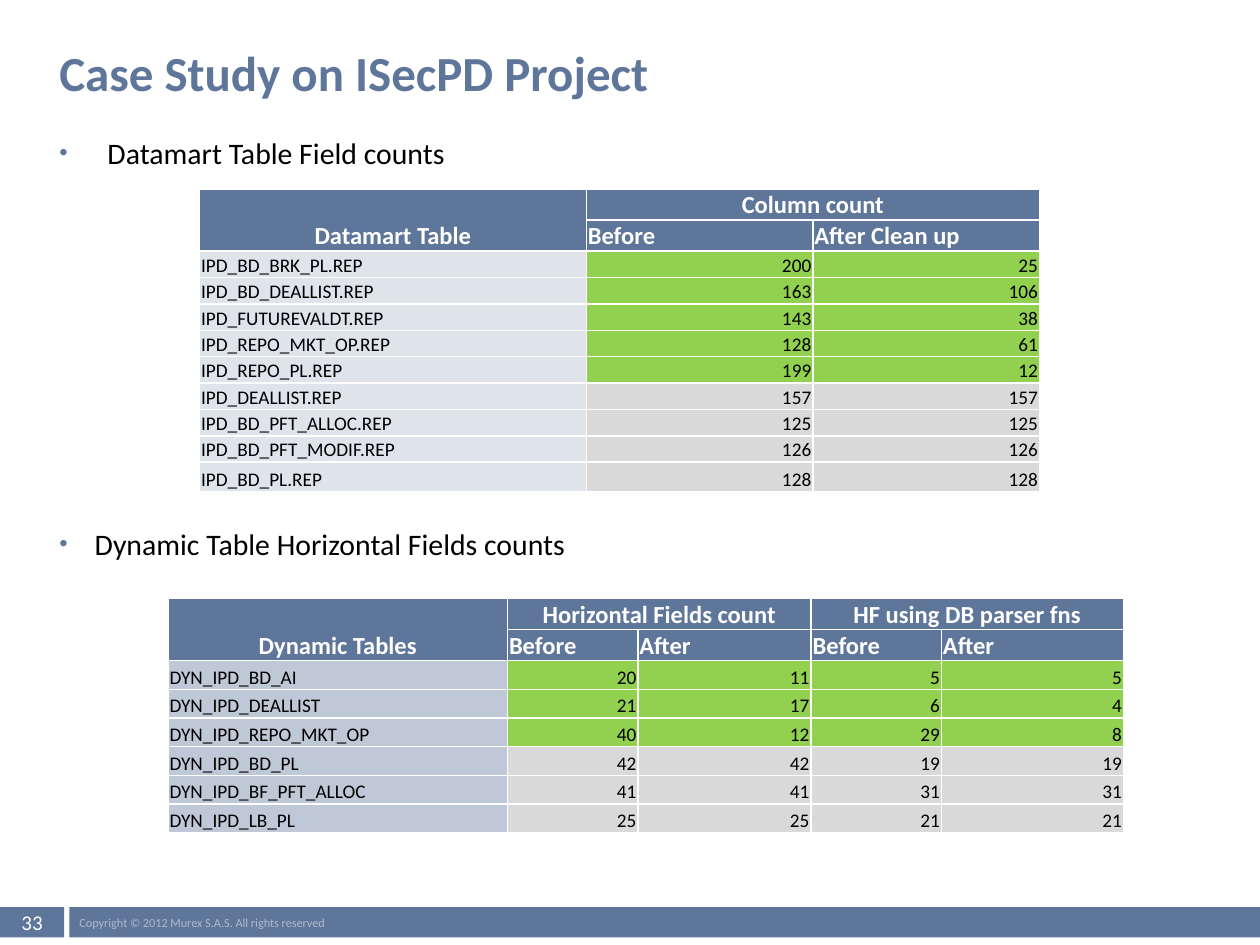
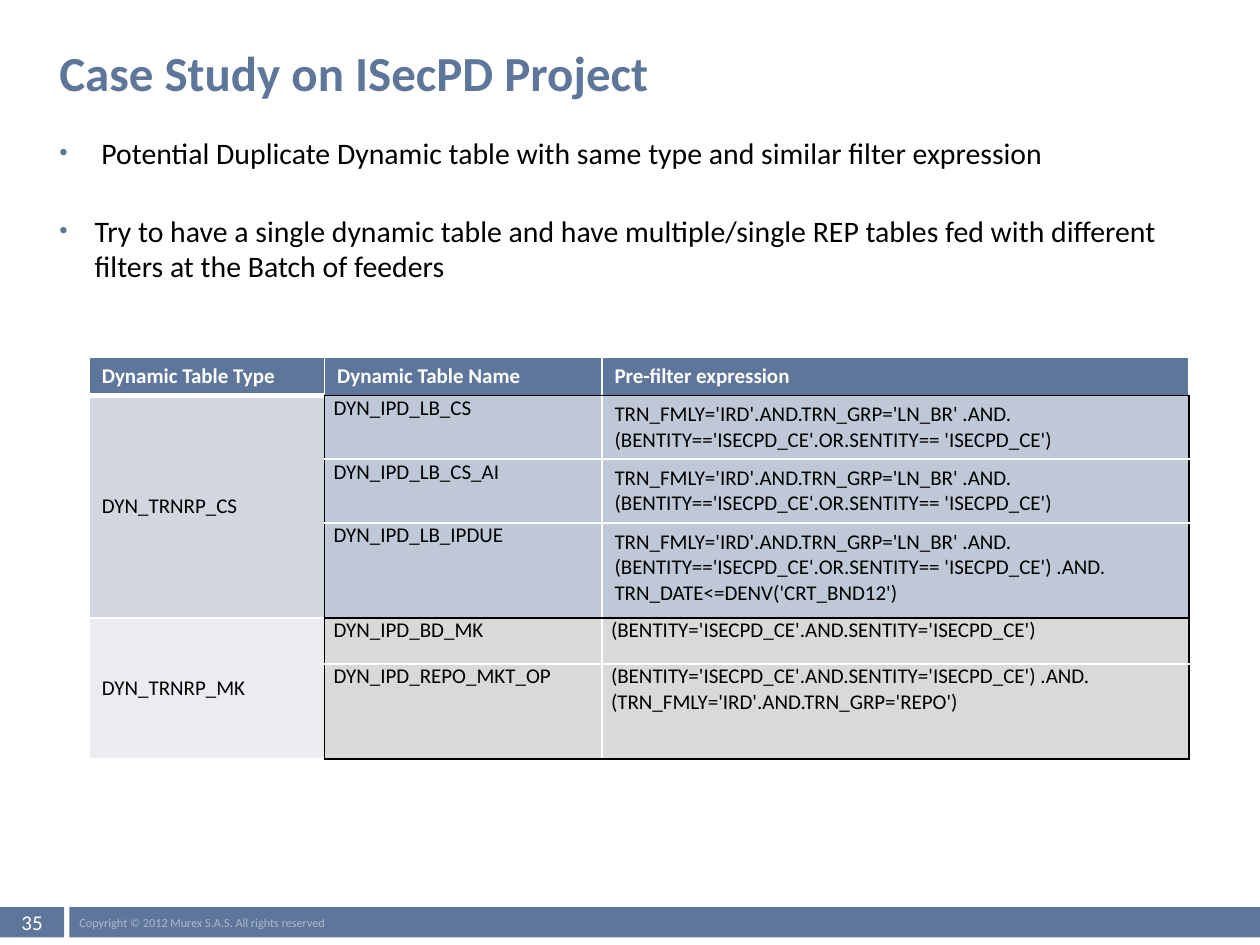
from lxml import etree
from pptx import Presentation
from pptx.dml.color import RGBColor
from pptx.enum.shapes import MSO_SHAPE as Shape
from pptx.enum.text import MSO_ANCHOR as Anchor, MSO_AUTO_SIZE as AutoSize, PP_ALIGN as Align
from pptx.oxml.ns import qn
from pptx.util import Pt

FONT = "Calibri"
SLATE = RGBColor(0x5F, 0x76, 0x9B)
SLATE_MID = RGBColor(0xBF, 0xC8, 0xD7)
SLATE_LIGHT = RGBColor(0xDF, 0xE4, 0xEB)
FOOTER_TEXT = RGBColor(0xAF, 0xBA, 0xCD)
TYPE_DARK = RGBColor(0xD2, 0xD6, 0xDE)
TYPE_LIGHT = RGBColor(0xEA, 0xEC, 0xEF)
GREEN = RGBColor(0x92, 0xD0, 0x50)
GRAY = RGBColor(0xD9, 0xD9, 0xD9)
WHITE = RGBColor(0xFF, 0xFF, 0xFF)
BLACK = RGBColor(0, 0, 0)

TITLE = "Case Study on ISecPD Project"
COPYRIGHT = "Copyright © 2012 Murex S.A.S. All rights reserved"
TIGHT = (0.9, 0.7, 0.9, 0)
NORMAL = (7.2, 3.6, 7.2, 3.6)
FLUSH = (5.2, 0, 5.2, 0)


class Deck:
    """Holds the shared style and the slide being built."""

    def __init__(self):
        self.presentation = Presentation()
        self.presentation.slide_width = Pt(720)
        self.presentation.slide_height = Pt(540)
        self.slide = None

    def add_slide(self, number):
        layout = self.presentation.slide_layouts[1]
        self.slide = self.presentation.slides.add_slide(layout)
        self.band(39.6, 680.4, COPYRIGHT, 7, FOOTER_TEXT, Align.LEFT)
        self.band(0, 36.7, str(number), 12, WHITE, Align.CENTER)
        frame = self.placeholder(self.slide.shapes.title, 31, 24.5, 505, 42)
        self.set_text(frame.paragraphs[0], TITLE, 28, SLATE, bold=True)

    def set_text(self, paragraph, text, size, color, bold=False, align=Align.LEFT):
        paragraph.text = text
        paragraph.alignment = align
        font = paragraph.font
        font.name, font.size, font.bold = FONT, Pt(size), bold
        font.color.rgb = color

    def set_margins(self, target, margins):
        (target.margin_left, target.margin_top,
         target.margin_right, target.margin_bottom) = map(Pt, margins)

    def band(self, left, width, text, size, color, align):
        shape = self.slide.shapes.add_shape(
            Shape.RECTANGLE, Pt(left), Pt(518.4), Pt(width), Pt(17.3))
        shape.shadow.inherit = False
        shape.fill.solid()
        shape.fill.fore_color.rgb = SLATE
        shape.line.fill.background()
        frame = shape.text_frame
        frame.vertical_anchor = Anchor.MIDDLE
        self.set_margins(frame, (5.8, 0, 5.8, 0))
        self.set_text(frame.paragraphs[0], text, size, color, align=align)

    def placeholder(self, shape, left, top, width, height):
        shape.left, shape.top = Pt(left), Pt(top)
        shape.width, shape.height = Pt(width), Pt(height)
        frame = shape.text_frame
        frame.auto_size = AutoSize.NONE
        frame.word_wrap = True
        frame.vertical_anchor = Anchor.TOP
        self.set_margins(frame, (2.9, 0, 2.9, 0))
        return frame

    def bullets(self, items):
        """Each item is its text, its indent and the space before it."""
        frame = self.placeholder(self.slide.placeholders[1], 31, 77, 669, 405)
        for index, (text, indent, space) in enumerate(items):
            paragraph = frame.add_paragraph() if index else frame.paragraphs[0]
            paragraph.space_before = Pt(space)
            properties = paragraph._p.get_or_add_pPr()
            properties.set("marL", str(Pt(indent)))
            properties.set("indent", str(-Pt(indent)))
            bullet_color = etree.SubElement(properties, qn("a:buClr"))
            etree.SubElement(bullet_color, qn("a:srgbClr"), val=str(SLATE))
            etree.SubElement(properties, qn("a:buSzPct"), val="80000")
            etree.SubElement(properties, qn("a:buFont"), typeface="Arial")
            etree.SubElement(properties, qn("a:buChar"), char="•")
            self.set_text(paragraph, text, 17, BLACK)

    def table(self, left, top, columns, rows, merges):
        shape = self.slide.shapes.add_table(
            len(rows), len(columns), Pt(left), Pt(top), Pt(sum(columns)), Pt(sum(rows)))
        table = shape.table
        table.horz_banding = False
        for column, width in zip(table.columns, columns):
            column.width = Pt(width)
        for row, height in zip(table.rows, rows):
            row.height = Pt(height)
        for first, last in merges:
            table.cell(*first).merge(table.cell(*last))
        return table

    def borders(self, cell, **special):
        """White one-point edges, except those given as (colour, width)."""
        properties = cell._tc.get_or_add_tcPr()
        for index, side in enumerate("LRTB"):
            color, width = special.get(side, (WHITE, 1))
            line = etree.Element(qn(f"a:ln{side}"), w=str(Pt(width)))
            fill = etree.SubElement(line, qn("a:solidFill"))
            etree.SubElement(fill, qn("a:srgbClr"), val=str(color))
            properties.insert(index, line)

    def cell(self, cell, text, size, fill, margins, anchor,
             color=BLACK, bold=False, align=Align.LEFT):
        cell.fill.solid()
        cell.fill.fore_color.rgb = fill
        if cell.is_spanned:
            return
        self.set_margins(cell, margins)
        cell.vertical_anchor = anchor
        self.set_text(cell.text_frame.paragraphs[0], text, size, color, bold, align)

    def count_table(self, left, top, columns, heights, groups, subheads,
                    records, name_fill, reduced):
        """Two header rows, then records; the first `reduced` ones are green."""
        merges = [((0, 0), (1, 0))]
        merges += [((0, c), (0, c + 1)) for c in range(1, len(columns), 2)]
        table = self.table(left, top, columns, heights, merges)
        for r, values in enumerate([groups, subheads, *records]):
            for c, value in enumerate(values):
                cell = table.cell(r, c)
                self.borders(cell)
                if r < 2:
                    self.cell(cell, value, 14, SLATE, TIGHT, Anchor.BOTTOM, WHITE, True,
                              Align.LEFT if r else Align.CENTER)
                else:
                    count_fill = GREEN if r < reduced + 2 else GRAY
                    self.cell(cell, str(value), 11, count_fill if c else name_fill, TIGHT,
                              Anchor.BOTTOM, align=Align.RIGHT if c else Align.LEFT)

    def filter_table(self, left, top, columns, heights, heads, groups):
        """Groups are (type, type fill, fill, expression margins, records)."""
        merges, start = [], 1
        for *_, records in groups:
            merges.append(((start, 0), (start + len(records) - 1, 0)))
            start += len(records)
        table = self.table(left, top, columns, heights, merges)
        black = (BLACK, 1)
        for c, head in enumerate(heads):
            cell = table.cell(0, c)
            self.borders(cell, B=black if c else (WHITE, 3))
            self.cell(cell, head, 12, SLATE, NORMAL, Anchor.TOP, WHITE, True)
        for (first, last), group in zip(merges, groups):
            kind, kind_fill, fill, margins, records = group
            for r, (name, expression) in enumerate(records, first[0]):
                edges = {}
                if r == first[0]:
                    edges["T"] = black
                if r == last[0]:
                    edges["B"] = black
                kind_cell, name_cell, expression_cell = (table.cell(r, c) for c in range(3))
                self.borders(kind_cell, R=black)
                self.borders(name_cell, L=black, **edges)
                self.borders(expression_cell, R=black, **edges)
                self.cell(kind_cell, kind, 12, kind_fill, NORMAL, Anchor.MIDDLE)
                self.cell(name_cell, name, 12, fill, FLUSH, Anchor.TOP)
                self.cell(expression_cell, expression, 12, fill, margins, Anchor.TOP)


def main():
    deck = Deck()

    # Field counts before and after the clean-up
    deck.add_slide(33)
    deck.bullets([("Datamart Table Field counts", 27.5, 0),
                  ("Dynamic Table Horizontal Fields counts", 20.2, 203)])
    deck.count_table(
        114, 108, (221, 129.5, 129.5), [17.5] * 2 + [15.1] * 8 + [17],
        ("Datamart Table", "Column count", ""),
        ("", "Before", "After Clean up"),
        [("IPD_BD_BRK_PL.REP", 200, 25),
         ("IPD_BD_DEALLIST.REP", 163, 106),
         ("IPD_FUTUREVALDT.REP", 143, 38),
         ("IPD_REPO_MKT_OP.REP", 128, 61),
         ("IPD_REPO_PL.REP", 199, 12),
         ("IPD_DEALLIST.REP", 157, 157),
         ("IPD_BD_PFT_ALLOC.REP", 125, 125),
         ("IPD_BD_PFT_MODIF.REP", 126, 126),
         ("IPD_BD_PL.REP", 128, 128)],
        SLATE_LIGHT, reduced=5)
    deck.count_table(
        96, 342, (194, 74.5, 99, 74.5, 104), [17.7] * 2 + [16.4] * 6,
        ("Dynamic Tables", "Horizontal Fields count", "", "HF using DB parser fns", ""),
        ("", "Before", "After", "Before", "After"),
        [("DYN_IPD_BD_AI", 20, 11, 5, 5),
         ("DYN_IPD_DEALLIST", 21, 17, 6, 4),
         ("DYN_IPD_REPO_MKT_OP", 40, 12, 29, 8),
         ("DYN_IPD_BD_PL", 42, 42, 19, 19),
         ("DYN_IPD_BF_PFT_ALLOC", 41, 41, 31, 31),
         ("DYN_IPD_LB_PL", 25, 25, 21, 21)],
        SLATE_MID, reduced=3)

    # Duplicate dynamic tables and their filters
    deck.add_slide(35)
    deck.bullets([
        ("Potential Duplicate Dynamic table with same type and similar filter expression", 24, 0),
        ("Try to have a single dynamic table and have multiple/single REP tables fed with "
         "different filters at the Batch of feeders", 20.2, 24)])
    loan_filter = ("TRN_FMLY='IRD'.AND.TRN_GRP='LN_BR' .AND. "
                   "(BENTITY=='ISECPD_CE'.OR.SENTITY== 'ISECPD_CE')")
    entity_filter = "(BENTITY='ISECPD_CE'.AND.SENTITY='ISECPD_CE')"
    deck.filter_table(
        51, 204, (134.5, 158.5, 335.5), (21, 36.5, 36.5, 54.3, 26.2, 54.3),
        ("Dynamic Table Type", "Dynamic Table Name", "Pre-filter expression"),
        [("DYN_TRNRP_CS", TYPE_DARK, SLATE_MID, NORMAL,
          [("DYN_IPD_LB_CS", loan_filter),
           ("DYN_IPD_LB_CS_AI", loan_filter),
           ("DYN_IPD_LB_IPDUE", loan_filter + " .AND. TRN_DATE<=DENV('CRT_BND12')")]),
         ("DYN_TRNRP_MK", TYPE_LIGHT, GRAY, FLUSH,
          [("DYN_IPD_BD_MK", entity_filter),
           ("DYN_IPD_REPO_MKT_OP",
            entity_filter + " .AND. (TRN_FMLY='IRD'.AND.TRN_GRP='REPO')")])])

    deck.presentation.save("out.pptx")


if __name__ == "__main__":
    main()
